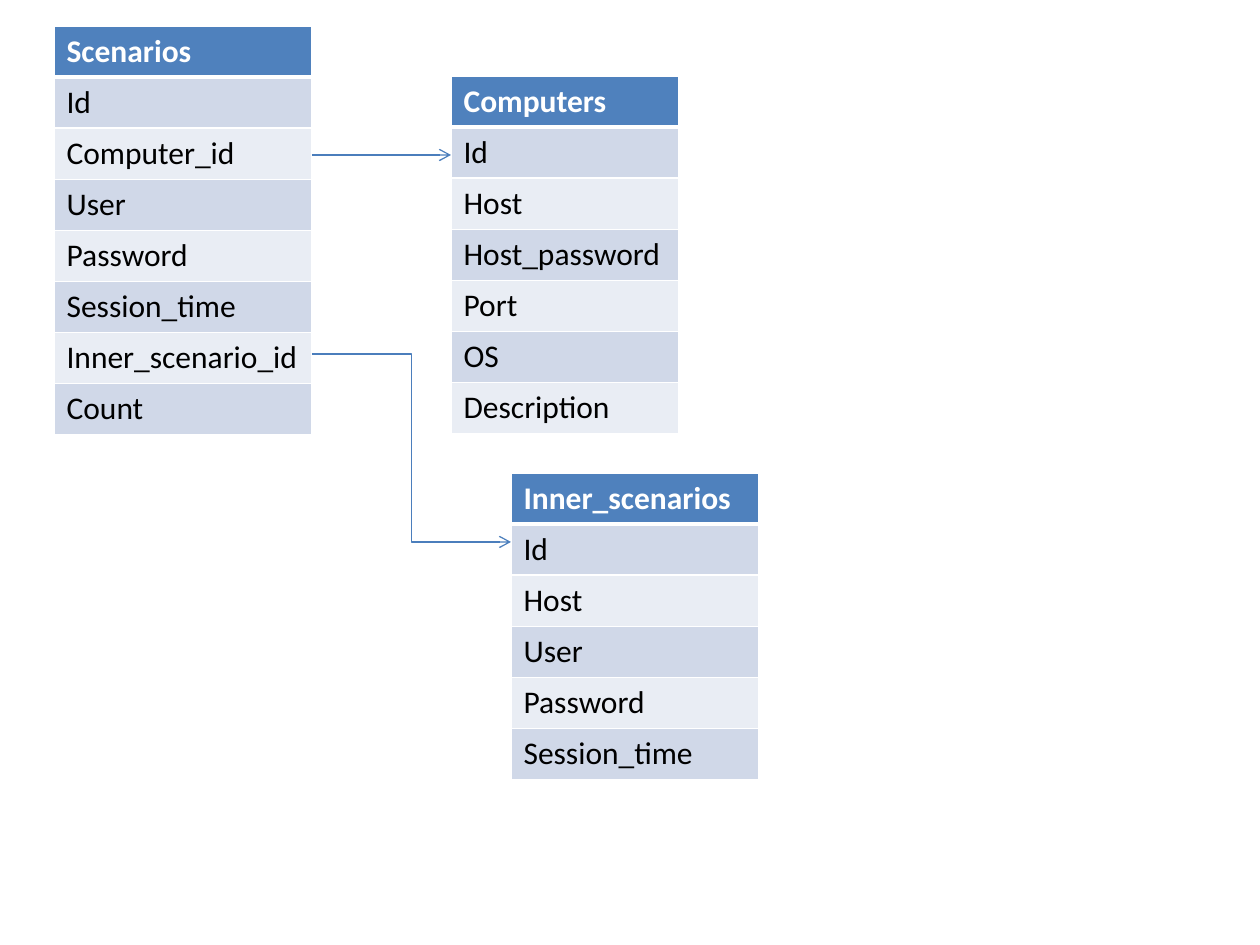
from lxml import etree
from pptx import Presentation
from pptx import util as u
from pptx.dml.color import RGBColor
from pptx.enum import shapes
from pptx.oxml.ns import qn

PIXEL = u.Inches(1) / 126


def px(length):
    return u.Emu(round(length * PIXEL))


def colour(value):
    return RGBColor.from_string(value)


class SchemaSlide:
    font = "Calibri"
    text_size = 18
    row_height = 51
    header_fill = "4F81BD"
    band_fills = ("D0D8E8", "E9EDF4")
    border_colour = "FFFFFF"
    line_colour = "4B7EBC"

    def __init__(self, presentation):
        self.slide = presentation.slides.add_slide(presentation.slide_layouts[6])

    def entity(self, left, top, width, names):
        frame = self.slide.shapes.add_table(
            len(names), 1, px(left), px(top), px(width), px(self.row_height * len(names)))
        table = frame.table
        for index, name in enumerate(names):
            table.rows[index].height = px(self.row_height)
            self.cell(table.cell(index, 0), name, index)

    def cell(self, cell, name, index):
        header = index == 0
        cell.fill.solid()
        cell.fill.fore_color.rgb = colour(
            self.header_fill if header else self.band_fills[(index - 1) % 2])
        cell.text_frame.text = name
        font = cell.text_frame.paragraphs[0].runs[0].font
        font.name = self.font
        font.size = u.Pt(self.text_size)
        font.bold = header
        font.color.rgb = colour("FFFFFF" if header else "000000")
        self.borders(cell, top=3 if index == 1 else 1, bottom=3 if header else 1)

    def borders(self, cell, top, bottom):
        properties = cell._tc.get_or_add_tcPr()
        sides = (("lnL", 1), ("lnR", 1), ("lnT", top), ("lnB", bottom))
        for position, (side, points) in enumerate(sides):
            line = etree.Element(qn("a:" + side), w=str(u.Pt(points)))
            fill = etree.SubElement(line, qn("a:solidFill"))
            etree.SubElement(fill, qn("a:srgbClr"), val=self.border_colour)
            properties.insert(position, line)

    def arrow(self, kind, start, end):
        connector = self.slide.shapes.add_connector(kind, *map(px, start + end))
        connector.line.color.rgb = colour(self.line_colour)
        connector.line.width = u.Pt(0.75)
        etree.SubElement(connector.line._get_or_add_ln(), qn("a:tailEnd"), type="arrow")
        etree.SubElement(connector._element.spPr, qn("a:effectLst"))


presentation = Presentation()
presentation.slide_width = px(1260)
presentation.slide_height = px(945)

schema = SchemaSlide(presentation)
schema.entity(451, 76, 228, [
    "Computers", "Id", "Host", "Host_password", "Port", "OS", "Description"])
schema.entity(511, 473, 248, [
    "Inner_scenarios", "Id", "Host", "User", "Password", "Session_time"])
schema.entity(54, 26, 258, [
    "Scenarios", "Id", "Computer_id", "User", "Password", "Session_time",
    "Inner_scenario_id", "Count"])
schema.arrow(shapes.MSO_CONNECTOR.ELBOW, (312, 354), (511, 542))
schema.arrow(shapes.MSO_CONNECTOR.STRAIGHT, (312, 155), (451, 155))

presentation.save("out.pptx")
